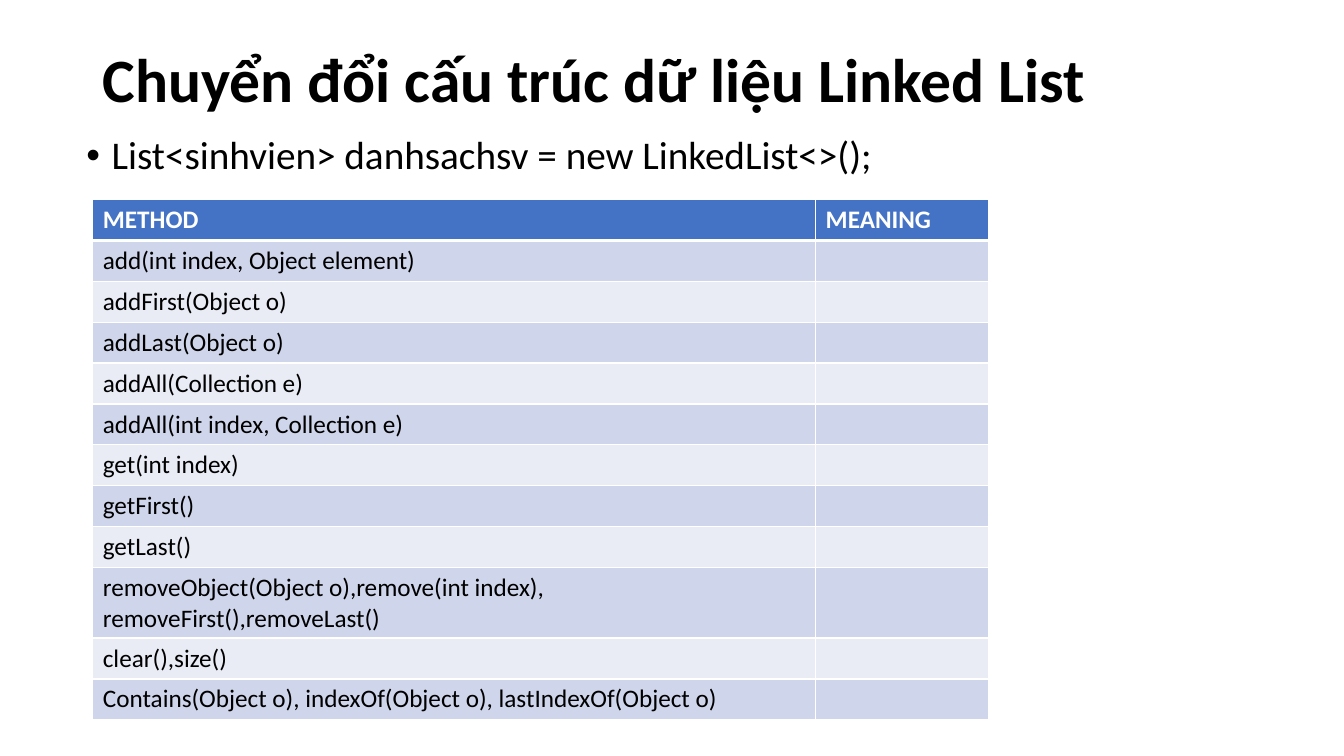
from lxml import etree
from pptx import Presentation
from pptx.dml.color import RGBColor
from pptx.enum import text as t
from pptx.oxml import ns
from pptx.util import Inches, Pt

BLACK = RGBColor(0x00, 0x00, 0x00)
WHITE = RGBColor(0xFF, 0xFF, 0xFF)
BLUE = RGBColor(0x44, 0x72, 0xC4)
BANDS = [RGBColor(0xE9, 0xEB, 0xF5), RGBColor(0xCF, 0xD5, 0xEA)]

ROWS = [
    "METHOD",
    "add(int index, Object element)",
    "addFirst(Object o)",
    "addLast(Object o)",
    "addAll(Collection e)",
    "addAll(int index, Collection e)",
    "get(int index)",
    "getFirst()",
    "getLast()",
    "removeObject(Object o),remove(int index), removeFirst(),removeLast()",
    "clear(),size()",
    "Contains(Object o), indexOf(Object o), lastIndexOf(Object o)",
]


def write(frame, words, size=18, color=BLACK, bold=False, space=None, bullet=False):
    para = frame.paragraphs[0]
    if space:
        para.line_spacing = space
    if bullet:
        props = para._p.get_or_add_pPr()
        props.set("marL", str(Inches(0.25)))
        props.set("indent", str(Inches(-0.25)))
        etree.SubElement(props, ns.qn("a:buFont")).set("typeface", "Arial")
        etree.SubElement(props, ns.qn("a:buChar")).set("char", "•")
    para.font.size = Pt(size)
    if words:
        run = para.add_run()
        run.text = words
        run.font.name = "Calibri"
        run.font.size = Pt(size)
        run.font.bold = bold
        run.font.color.rgb = color


def add_box(slide, words, left, top, width, height, anchor, **style):
    box = slide.shapes.add_textbox(Inches(left), Inches(top), Inches(width), Inches(height))
    frame = box.text_frame
    frame.word_wrap = True
    frame.vertical_anchor = anchor
    write(frame, words, space=0.9, **style)


def edge(cell, side, width):
    props = cell._tc.get_or_add_tcPr()
    line = etree.SubElement(props, ns.qn("a:ln" + side), w=str(Pt(width)))
    fill = etree.SubElement(line, ns.qn("a:solidFill"))
    etree.SubElement(fill, ns.qn("a:srgbClr"), val=str(WHITE))


def add_grid(slide):
    shape = slide.shapes.add_table(
        len(ROWS), 2, Inches(0.92), Inches(1.98), Inches(8.89), Inches(4.87))
    table = shape.table
    for col, width in zip(table.columns, (7.17, 1.72)):
        col.width = Inches(width)
    for row, method in enumerate(ROWS):
        head = row == 0
        for col, words in enumerate((method, "MEANING" if head else "")):
            cell = table.cell(row, col)
            for side in "LRTB":
                thick = (row, side) in ((0, "B"), (1, "T"))
                edge(cell, side, 3 if thick else 1)
            cell.fill.solid()
            cell.fill.fore_color.rgb = BLUE if head else BANDS[row % 2]
            write(cell.text_frame, words, color=WHITE if head else BLACK, bold=head)


def main():
    deck = Presentation()
    deck.slide_width, deck.slide_height = Inches(13.33), Inches(7.5)
    slide = deck.slides.add_slide(deck.slide_layouts[6])
    add_box(slide, "Chuyển đổi cấu trúc dữ liệu Linked List", 0.92, 0.09, 11.5, 1.45,
            t.MSO_ANCHOR.MIDDLE, size=44, bold=True)
    add_box(slide, "List<sinhvien> danhsachsv = new LinkedList<>();", 0.76, 1.3, 11.5, 4.76,
            t.MSO_ANCHOR.TOP, size=28, bullet=True)
    add_grid(slide)
    deck.save("out.pptx")


if __name__ == "__main__":
    main()
